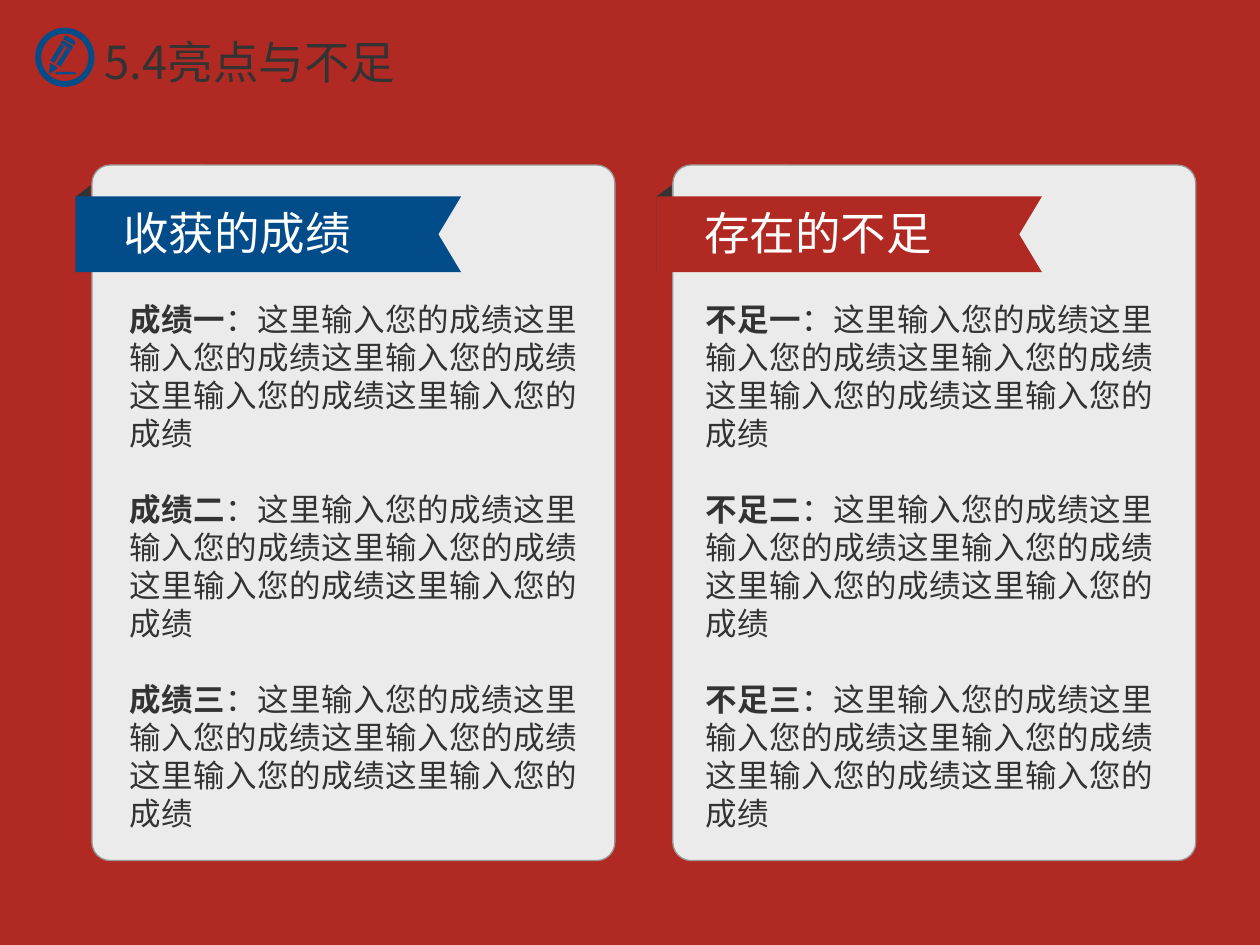
from dataclasses import dataclass

from lxml.etree import SubElement
from pptx import Presentation
from pptx.dml.color import RGBColor
from pptx.enum.shapes import MSO_SHAPE as Shape
from pptx.enum.text import MSO_ANCHOR as Anchor, MSO_AUTO_SIZE as AutoSize, PP_ALIGN as Align
from pptx.oxml.ns import qn
from pptx.util import Inches, Pt

FONT = "Noto Sans CJK SC"
COLORS = {
    "red": "B12923",
    "blue": "024C89",
    "card": "EBEBEB",
    "edge": "999999",
    "dark": "333333",
    "white": "FFFFFF",
}
LINE_HEIGHT = 1.205
COLUMN_STEP = 4.61
DETAIL = "：" + "这里输入您的成绩" * 5

PENCIL_PARTS = [
    [(0.45, 0.51), (0.53, 0.38), (0.56, 0.40), (0.48, 0.53)],
    [(0.40, 0.48), (0.48, 0.35), (0.51, 0.37), (0.43, 0.50)],
    [(0.39, 0.58), (0.40, 0.50), (0.46, 0.54), (0.40, 0.58)],
    [(0.50, 0.32), (0.58, 0.37), (0.57, 0.40), (0.48, 0.34)],
    [(0.51, 0.30), (0.52, 0.28), (0.54, 0.29), (0.59, 0.32), (0.60, 0.34),
     (0.59, 0.36), (0.50, 0.31)],
]
FOLD = [(0.72, 1.47), (0.60, 1.56), (0.60, 2.16), (0.72, 2.06)]
RIBBON = [(3.66, 1.56), (0.60, 1.56), (0.60, 2.16), (3.66, 2.16), (3.48, 1.86)]


@dataclass
class Column:
    heading: str
    item_name: str
    ribbon_color: str
    body_left: float


COLUMNS = [
    Column("收获的成绩", "成绩", "blue", 0.93),
    Column("存在的不足", "不足", "red", 5.5),
]


def rgb(name: str) -> RGBColor:
    return RGBColor.from_string(COLORS[name])


def paint(shape, color: str) -> None:
    """Give a shape a flat fill without line or shadow."""
    shape.shadow.inherit = False
    shape.fill.solid()
    shape.fill.fore_color.rgb = rgb(color)
    shape.line.fill.background()


def add_preset(page, kind, left: float, top: float, width: float, height: float, color: str):
    shape = page.shapes.add_shape(kind, Inches(left), Inches(top), Inches(width), Inches(height))
    paint(shape, color)
    return shape


def add_polygon(page, points: list, color: str, offset: float = 0) -> None:
    corners = [(Inches(x + offset), Inches(y)) for x, y in points]
    builder = page.shapes.build_freeform(*corners[0])
    builder.add_line_segments(corners[1:], close=True)
    paint(builder.convert_to_shape(), color)


def place(box, left: float, top: float, width: float, height: float) -> None:
    """Position a text holder and give it plain top-anchored wrapping."""
    box.left, box.top = Inches(left), Inches(top)
    box.width, box.height = Inches(width), Inches(height)
    frame = box.text_frame
    frame.word_wrap = True
    frame.auto_size = AutoSize.NONE
    frame.vertical_anchor = Anchor.TOP


def style(para, size: float, color: str, align=Align.LEFT) -> None:
    para.alignment = align
    para.line_spacing = Pt(round(size * LINE_HEIGHT, 1))
    para.space_before = Pt(0)
    font = para.font
    font.size = Pt(size)
    font.name = FONT
    font.color.rgb = rgb(color)
    SubElement(font._rPr, qn("a:ea")).set("typeface", FONT)


def add_icon(page) -> None:
    ring = add_preset(page, Shape.DONUT, 0.28, 0.22, 0.47, 0.47, "blue")
    ring.adjustments[0] = 0.1
    for part in PENCIL_PARTS:
        add_polygon(page, part, "blue")
    stroke = add_preset(page, Shape.ROUNDED_RECTANGLE, 0.44, 0.57, 0.16, 0.02, "blue")
    stroke.adjustments[0] = 0.5


def add_card(page, column: Column, offset: float) -> None:
    card = add_preset(page, Shape.ROUNDED_RECTANGLE, 0.73 + offset, 1.31, 4.15, 5.52, "card")
    card.adjustments[0] = 0.035
    card.line.color.rgb = rgb("edge")
    card.line.width = Pt(0)
    add_polygon(page, FOLD, "dark", offset)
    add_polygon(page, RIBBON, column.ribbon_color, offset)
    heading = page.shapes.add_textbox(0, 0, 0, 0)
    place(heading, 0.88 + offset, 1.58, 2.43, 0.54)
    heading.text_frame.text = column.heading
    style(heading.text_frame.paragraphs[0], 26, "white")


def fill_body(page, body, column: Column) -> None:
    place(body, column.body_left, 2.33, 3.75, 4.34)
    page.shapes._spTree.append(body._element)  # bring in front of the card
    frame = body.text_frame
    for index, number in enumerate("一二三"):
        para = frame.add_paragraph() if index else frame.paragraphs[0]
        properties = para._p.get_or_add_pPr()
        properties.set("marL", "0")
        properties.set("indent", "0")
        SubElement(properties, qn("a:buNone"))
        style(para, 18, "dark", Align.JUSTIFY)
        if index:
            para.space_before = Pt(21.7)
        label = para.add_run()
        label.text = column.item_name + number
        label.font.bold = True
        para.add_run().text = DETAIL


def main() -> None:
    deck = Presentation()
    deck.slide_width, deck.slide_height = Inches(10), Inches(7.5)
    page = deck.slides.add_slide(deck.slide_layouts.get_by_name("Two Content"))
    page.background.fill.solid()
    page.background.fill.fore_color.rgb = rgb("red")

    title = page.shapes.title
    place(title, 0.73, 0.22, 2.54, 0.54)
    title.text_frame.text = "5.4亮点与不足"
    style(title.text_frame.paragraphs[0], 26, "dark")
    add_icon(page)

    bodies = [page.placeholders[1], page.placeholders[2]]
    for index, (column, body) in enumerate(zip(COLUMNS, bodies)):
        add_card(page, column, index * COLUMN_STEP)
        fill_body(page, body, column)
    deck.save("out.pptx")


if __name__ == "__main__":
    main()
